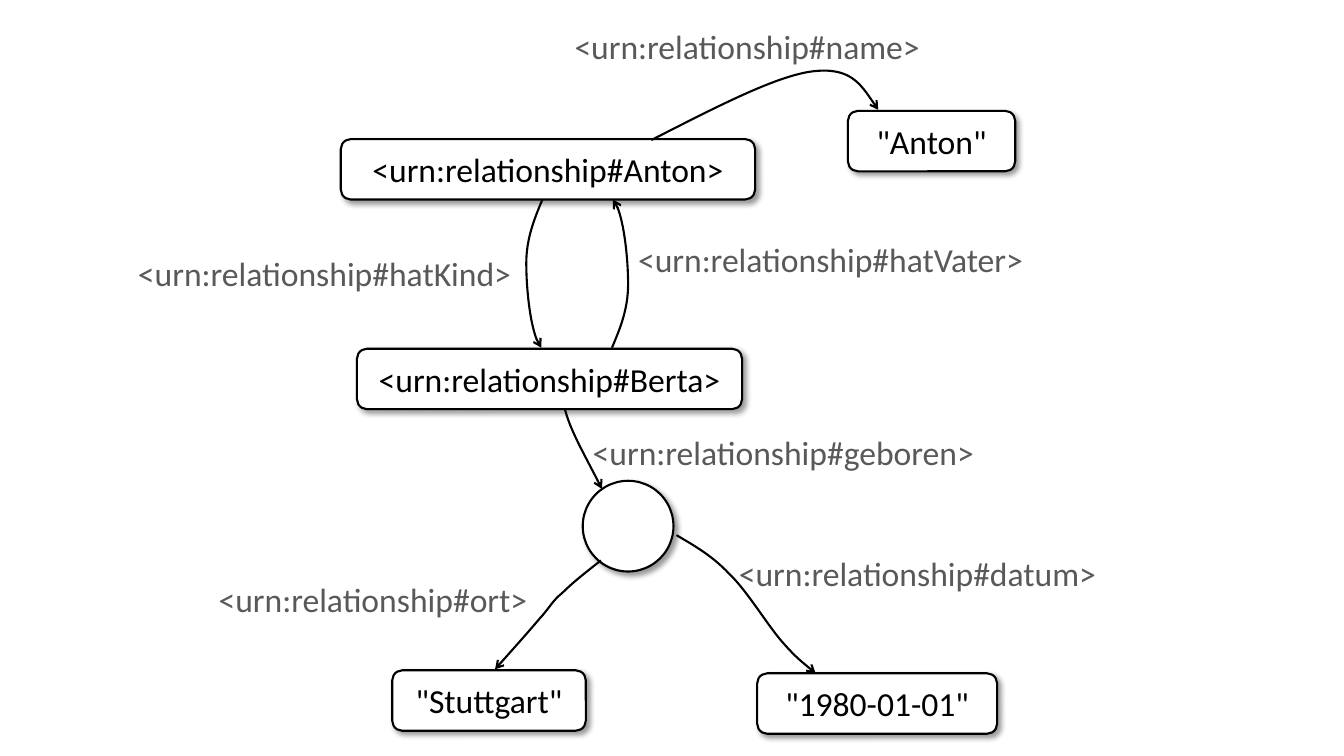
from lxml.etree import SubElement
from pptx import Presentation
from pptx.dml.color import RGBColor
from pptx.enum.shapes import MSO_SHAPE
from pptx.enum.text import MSO_ANCHOR, MSO_AUTO_SIZE, PP_ALIGN
from pptx.oxml.ns import qn
from pptx.util import Emu, Inches, Pt

COLS, ROWS = 13.33, 7.5
BLACK, WHITE, GREY = "000000", "FFFFFF", "595959"
NODE_H, LABEL_H = 0.6, 0.5

# text, left, top, width in grid cells
NODES = [
    ("<urn:relationship#Anton>", 3.38, 1.38, 4.11),
    ('"Anton"', 8.41, 1.1, 1.66),
    ("<urn:relationship#Berta>", 3.54, 3.46, 3.82),
    ('"Stuttgart"', 3.89, 6.65, 1.92),
    ('"1980-01-01"', 7.51, 6.68, 2.38),
]
BLANK_NODE = (5.78, 4.77, 0.9, 0.9)
LABELS = [
    ("hatKind", 1.27, 2.46, 4.11),
    ("hatVater", 6.23, 2.32, 4.11),
    ("name", 5.6, 0.21, 3.83),
    ("ort", 2.07, 5.69, 3.3),
    ("datum", 7.23, 5.44, 3.96),
    ("geboren", 5.78, 4.24, 4.29),
]
# start point, then two control points and an end point per curve
EDGES = {
    "hatKind": [(5.38, 1.98), (5.3, 2.17), (5.22, 2.37), (5.22, 2.61),
                (5.22, 2.86), (5.27, 3.35), (5.37, 3.45)],
    "name": [(6.46, 1.39), (7.07, 1.08), (7.68, 0.76), (8.05, 0.71),
             (8.43, 0.66), (8.57, 0.88), (8.71, 1.09)],
    "geboren": [(5.6, 4.05), (5.62, 4.12), (5.64, 4.19), (5.7, 4.32),
                (5.76, 4.45), (5.87, 4.65), (5.97, 4.85)],
    "datum": [(6.71, 5.31), (6.88, 5.41), (7.06, 5.51), (7.23, 5.69),
              (7.41, 5.86), (7.61, 6.2), (7.76, 6.37),
              (7.9, 6.53), (8.09, 6.68), (8.09, 6.68)],
    "ort": [(5.96, 5.56), (5.82, 5.67), (5.68, 5.78), (5.58, 5.88),
            (5.47, 5.97), (5.46, 6.02), (5.35, 6.14),
            (5.24, 6.27), (5.07, 6.46), (4.91, 6.64)],
    "hatVater": [(6.07, 3.45), (6.15, 3.26), (6.23, 3.07), (6.23, 2.82),
                 (6.23, 2.58), (6.18, 2.08), (6.08, 1.98)],
}


def rgb(color):
    """Turn a hex string into a colour."""
    return RGBColor.from_string(color)


def place(box, left, top, width, height):
    """Turn grid cells into lengths inside the box."""
    x, y, w, h = box
    dx, dy = w / COLS, h / ROWS
    return [Emu(round(v)) for v in
            (x + left * dx, y + top * dy, width * dx, height * dy)]


def write(sp, text, color):
    """Set the single line of text of a shape."""
    p = sp.text_frame.paragraphs[0]
    p.text = text
    p.font.name, p.font.size = "Calibri", Pt(24)
    p.font.color.rgb = rgb(color)
    return p


def outline(sp):
    """Give a shape the thin black line."""
    sp.line.color.rgb = rgb(BLACK)
    sp.line.width = Pt(1.5)


def add_shadow(sp):
    """Add a soft shadow to the lower right."""
    sp.shadow.inherit = False
    effects = sp._element.spPr.find(qn("a:effectLst"))
    shadow = SubElement(effects, qn("a:outerShdw"), blurRad=str(Pt(4)),
                        dist=str(Pt(3)), dir=str(45 * 60000), algn="tl", rotWithShape="0")
    color = SubElement(shadow, qn("a:srgbClr"), val=BLACK)
    SubElement(color, qn("a:alpha"), val="40000")


def add_node(s, box, kind, cells, text=""):
    """Draw one white node of the graph."""
    sp = s.shapes.add_shape(kind, *place(box, *cells))
    sp.fill.solid()
    sp.fill.fore_color.rgb = rgb(WHITE)
    outline(sp)
    add_shadow(sp)
    if text:
        sp.text_frame.vertical_anchor = MSO_ANCHOR.MIDDLE
        write(sp, text, BLACK).alignment = PP_ALIGN.CENTER


def add_edge(s, box, points):
    """Draw a curved arrow through cubic segments."""
    spots = [place(box, px, py, 0, 0)[:2] for px, py in points]
    builder = s.shapes.build_freeform(*spots[0])
    builder.add_line_segments(spots[1:], close=False)
    sp = builder.convert_to_shape()
    sp.fill.background()
    outline(sp)
    sp.shadow.inherit = False
    SubElement(sp._element.spPr.find(qn("a:ln")), qn("a:tailEnd"), type="arrow")
    geometry = next(sp._element.iter(qn("a:path")))
    lines = geometry.findall(qn("a:lnTo"))
    for i in range(0, len(lines), 3):
        curve = SubElement(geometry, qn("a:cubicBezTo"))
        for line in lines[i:i + 3]:
            curve.append(line[0])
            geometry.remove(line)


def add_label(s, box, name, left, top, width):
    """Write the name of a relationship beside its arrow."""
    sp = s.shapes.add_textbox(*place(box, left, top, width, LABEL_H))
    sp.text_frame.word_wrap = True
    sp.text_frame.auto_size = MSO_AUTO_SIZE.SHAPE_TO_FIT_TEXT
    write(sp, f"<urn:relationship#{name}>", GREY)


def add_graph(s, box):
    """Draw the relationship graph inside the box."""
    for text, left, top, width in NODES:
        add_node(s, box, MSO_SHAPE.ROUNDED_RECTANGLE, (left, top, width, NODE_H), text)
    add_node(s, box, MSO_SHAPE.OVAL, BLANK_NODE)
    for points in EDGES.values():
        add_edge(s, box, points)
    for label in LABELS:
        add_label(s, box, *label)


prs = Presentation()
prs.slide_width, prs.slide_height = Inches(COLS), Inches(ROWS)
s = prs.slides.add_slide(prs.slide_layouts[6])
add_graph(s, (0, 0, prs.slide_width, prs.slide_height))
prs.save("out.pptx")
